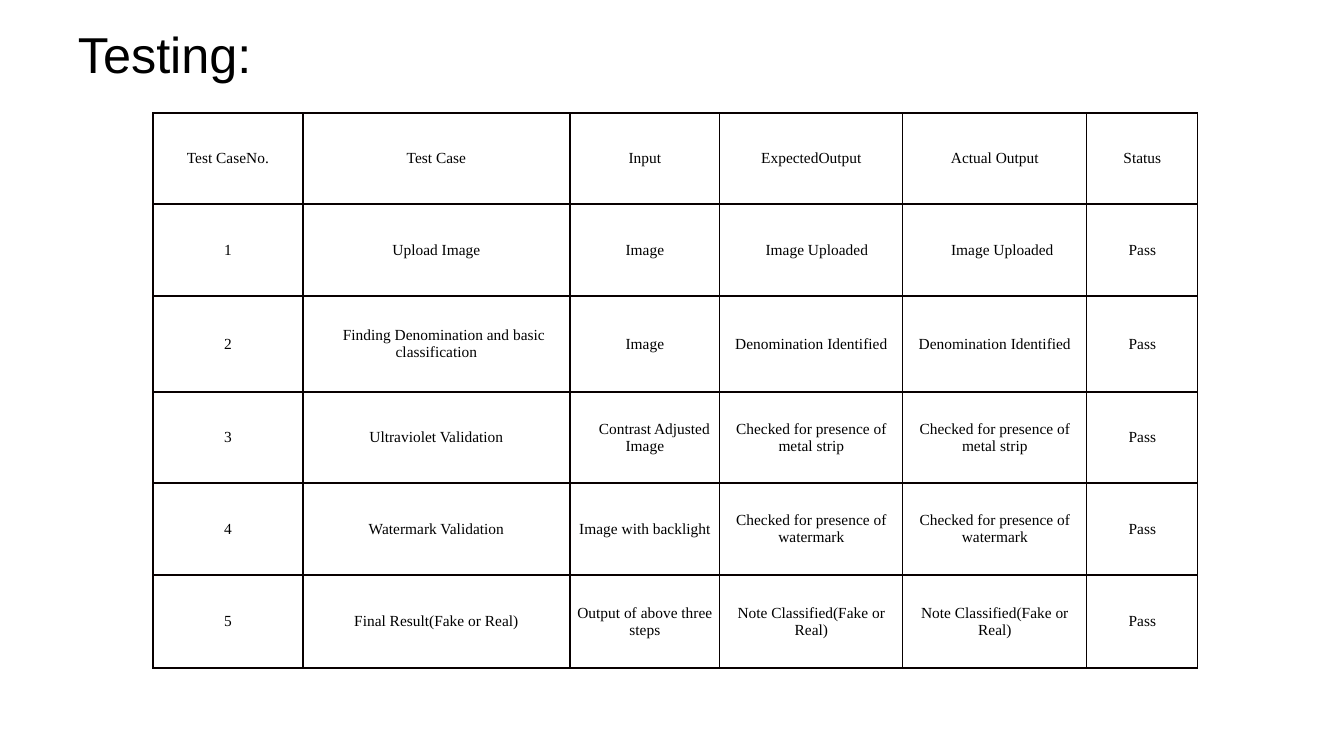
from lxml import etree
from pptx import Presentation
from pptx import util as u
from pptx.dml.color import RGBColor
from pptx.enum import text
from pptx.oxml.ns import qn

INK = RGBColor(0x00, 0x00, 0x00)
RULE = RGBColor(0x08, 0x00, 0x00)

TITLE = "Testing:"
ROWS = [
    ("Test CaseNo.", "Test Case", "Input", "ExpectedOutput", "Actual Output", "Status"),
    ("1", "Upload Image", "Image", "Image Uploaded", "Image Uploaded", "Pass"),
    ("2", "Finding Denomination and basic classification", "Image",
     "Denomination Identified", "Denomination Identified", "Pass"),
    ("3", "Ultraviolet Validation", "Contrast Adjusted Image",
     "Checked for presence of metal strip", "Checked for presence of metal strip", "Pass"),
    ("4", "Watermark Validation", "Image with backlight",
     "Checked for presence of watermark", "Checked for presence of watermark", "Pass"),
    ("5", "Final Result(Fake or Real)", "Output of above three steps",
     "Note Classified(Fake or Real)", "Note Classified(Fake or Real)", "Pass"),
]
# First-line indents in px, by (row, column)
INDENTS = {(1, 3): 11, (1, 4): 15, (2, 1): 15, (3, 2): 19}

WIDTHS = [150, 267, 150, 183, 184, 111]
HEIGHTS = [91, 92, 96, 91, 92, 93]
LEFT, TOP, PAD = 153, 113, 7


def px(n):
    return u.Inches(n / 100.8)


def write(frame, words, font="Times New Roman", size=11,
          align=text.PP_ALIGN.CENTER, indent=0):
    frame.word_wrap = True
    para = frame.paragraphs[0]
    para.alignment = align
    if indent:
        para._p.get_or_add_pPr().set("indent", str(px(indent)))
    run = para.add_run()
    run.text = words
    run.font.name = font
    run.font.size = u.Pt(size)
    run.font.color.rgb = INK


def border(cell):
    props = cell._tc.get_or_add_tcPr()
    for side in ("lnL", "lnR", "lnT", "lnB"):
        line = etree.SubElement(props, qn("a:" + side), w=str(u.Pt(1)))
        fill = etree.SubElement(line, qn("a:solidFill"))
        etree.SubElement(fill, qn("a:srgbClr"), val=str(RULE))


deck = Presentation()
deck.slide_width, deck.slide_height = px(1344), px(756)
slide = deck.slides.add_slide(deck.slide_layouts[6])

# Title
head = slide.shapes.add_textbox(px(68), px(21), px(1210), px(65)).text_frame
head.vertical_anchor = text.MSO_ANCHOR.MIDDLE
write(head, TITLE, font="Arial", size=36, align=text.PP_ALIGN.LEFT)

# Table of test cases
table = slide.shapes.add_table(len(ROWS), len(WIDTHS), px(LEFT), px(TOP),
                               px(sum(WIDTHS)), px(sum(HEIGHTS))).table
table.first_row = table.horz_banding = False
for col, width in zip(table.columns, WIDTHS):
    col.width = px(width)
for row, height in zip(table.rows, HEIGHTS):
    row.height = px(height)

# Cells
for r, row in enumerate(ROWS):
    for c, words in enumerate(row):
        cell = table.cell(r, c)
        cell.margin_left = cell.margin_right = px(PAD)
        cell.margin_top = cell.margin_bottom = 0
        cell.vertical_anchor = text.MSO_ANCHOR.MIDDLE
        border(cell)
        cell.fill.background()
        write(cell.text_frame, words, indent=INDENTS.get((r, c), 0))

deck.save("out.pptx")
